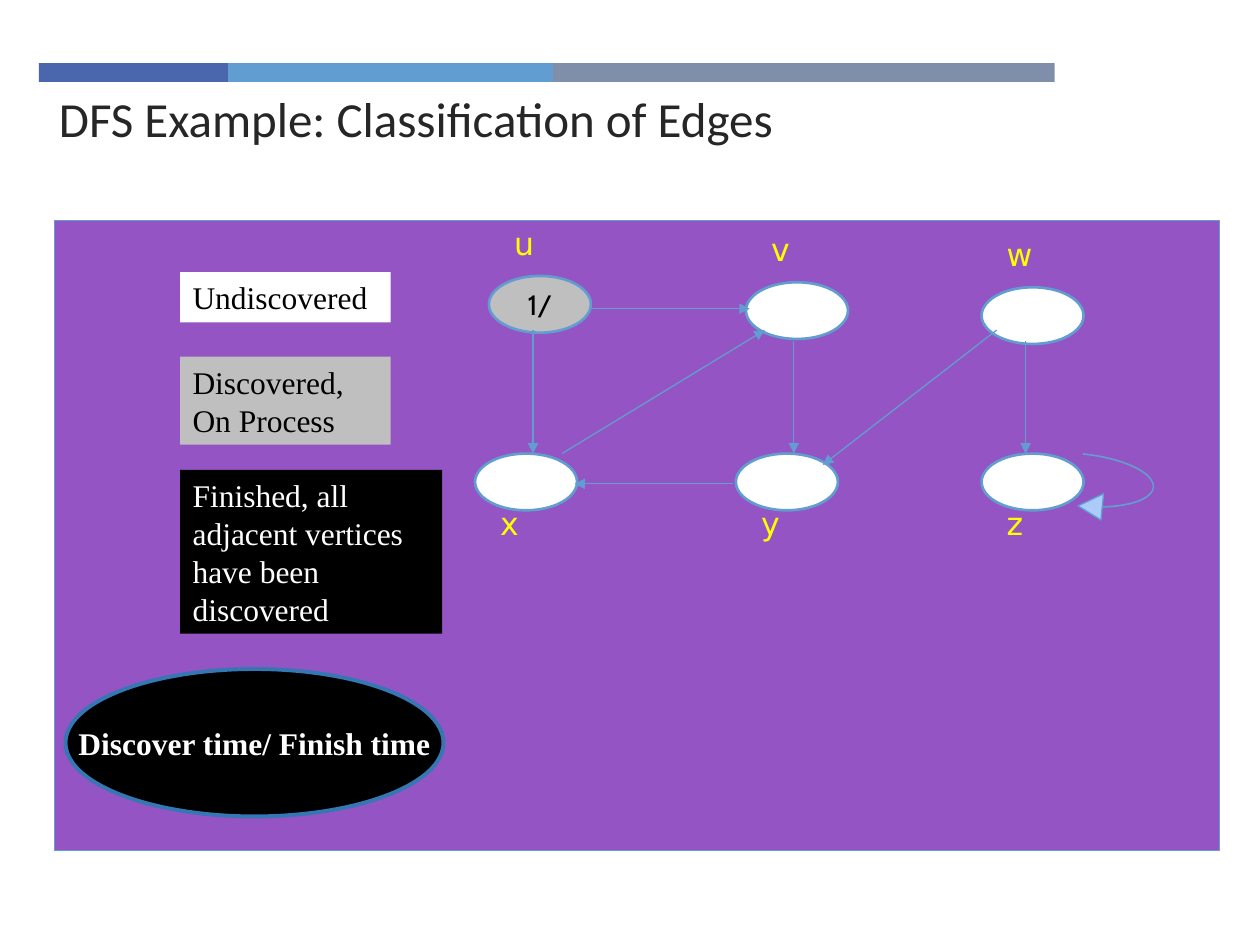
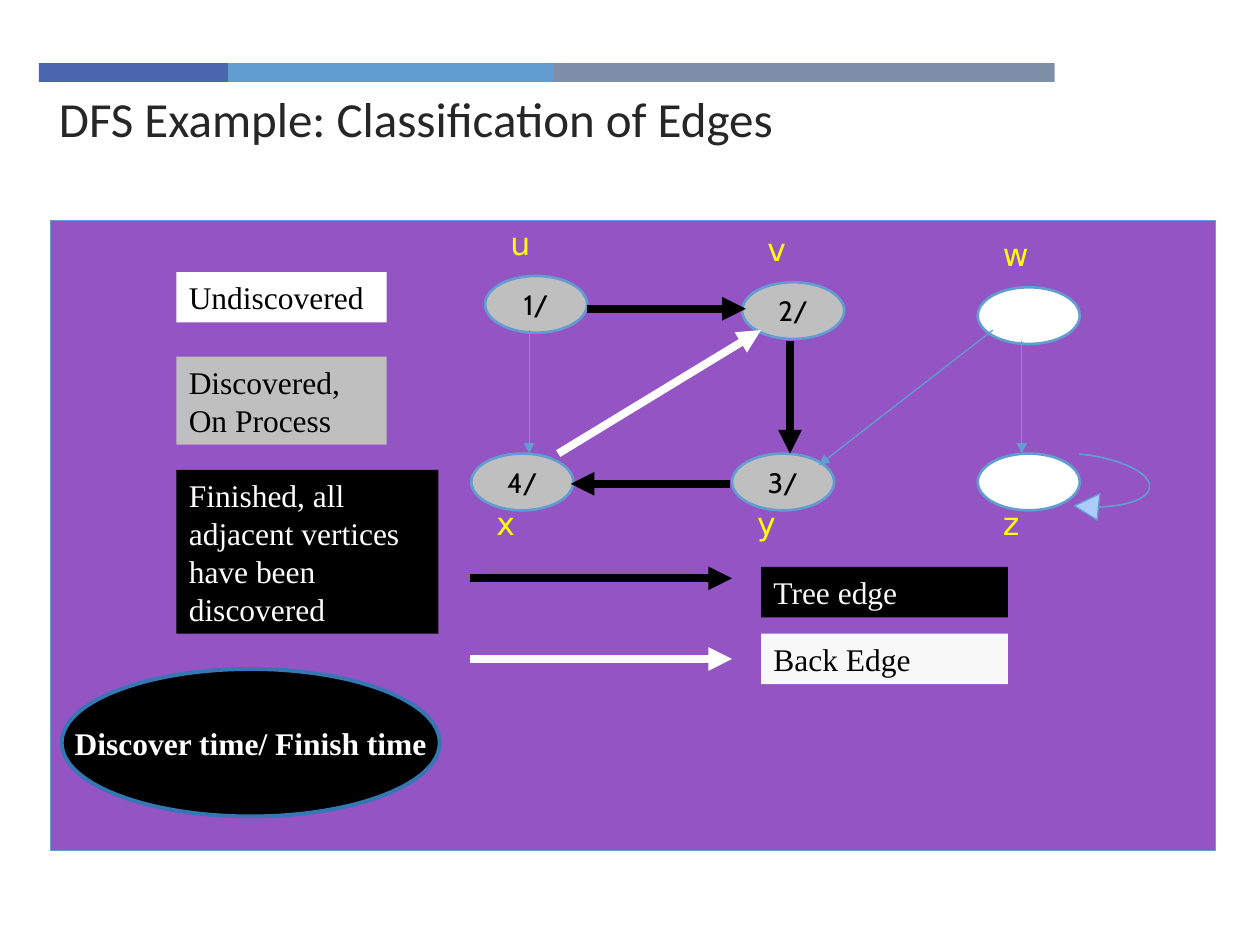
from pptx import Presentation
from pptx.dml.color import RGBColor
from pptx.enum.shapes import MSO_CONNECTOR, MSO_SHAPE
from pptx.enum.text import MSO_ANCHOR, PP_ALIGN
from pptx.oxml.ns import qn
from pptx.util import Inches, Pt
from lxml.etree import SubElement

WHITE = RGBColor(0xFF, 0xFF, 0xFF)
OFF_WHITE = RGBColor(0xF8, 0xF8, 0xF8)
BLACK = RGBColor(0x00, 0x00, 0x00)
GRAY = RGBColor(0xBF, 0xBF, 0xBF)
INK = RGBColor(0x26, 0x26, 0x26)
YELLOW = RGBColor(0xFF, 0xFF, 0x00)
PURPLE = RGBColor(0x94, 0x54, 0xC3)
BLUE = RGBColor(0x62, 0x9D, 0xD1)
DEEP_BLUE = RGBColor(0x4A, 0x66, 0xAC)
SLATE = RGBColor(0x7F, 0x8F, 0xA9)
RIM_BLUE = RGBColor(0x34, 0x77, 0xB2)
PALE_BLUE = RGBColor(0xAC, 0xCB, 0xF9)

BODY_FONT = "Times New Roman"
TITLE = "DFS Example: Classification of Edges"
BANDS = [(1.5, DEEP_BLUE), (2.58, BLUE), (3.98, SLATE)]

# Vertex: left and top of its ellipse, and the rise or drop to its label
NODE_SIZE = (0.81, 0.45)
ABOVE, BELOW = -0.46, 0.35
VERTICES = {
    "u": (3.88, 2.19, ABOVE),
    "v": (5.92, 2.24, ABOVE),
    "w": (7.79, 2.28, ABOVE),
    "x": (3.77, 3.6, BELOW),
    "y": (5.84, 3.6, BELOW),
    "z": (7.79, 3.6, BELOW),
}
EDGES = {
    "uv": (4.69, 2.45, 5.95, 2.45),
    "yx": (5.82, 3.84, 4.56, 3.84),
    "vy": (6.3, 2.71, 6.3, 3.6),
    "ux": (4.23, 2.62, 4.23, 3.6),
    "wz": (8.14, 2.71, 8.14, 3.6),
    "wy": (7.91, 2.62, 6.53, 3.69),
    "xv": (4.46, 3.6, 6.07, 2.62),
}
EDGE_STYLES = {"plain": (BLUE, 0.75), "tree": (BLACK, 4.5), "back": (WHITE, 4.5)}

# Text, top, width, height, fill, text colour
STATES = [
    ("Undiscovered", 2.16, 1.67, 0.4, WHITE, BLACK),
    ("Discovered, On Process", 2.83, 1.67, 0.7, GRAY, BLACK),
    ("Finished, all adjacent vertices have been discovered", 3.73, 2.08, 1.3, BLACK, WHITE),
]
# Edge kind, text, arrow height, box top, fill, text colour
EDGE_LEGEND = [
    ("tree", "Tree edge", 4.59, 4.5, BLACK, OFF_WHITE),
    ("back", "Back Edge", 5.23, 5.03, OFF_WHITE, BLACK),
]

STEPS = [
    {"shift": 0, "times": {"u": "1/"}, "kinds": {}, "legend": []},
    {
        "shift": -0.03,
        "times": {"u": "1/", "v": "2/", "y": "3/", "x": "4/"},
        "kinds": {"uv": "tree", "vy": "tree", "yx": "tree", "xv": "back"},
        "legend": EDGE_LEGEND,
    },
]


def add_box(slide, preset, left, top, width, height, fill, line=None, line_width=0.75):
    shape = slide.shapes.add_shape(
        preset, Inches(left), Inches(top), Inches(width), Inches(height))
    shape.shadow.inherit = False
    shape.fill.solid()
    shape.fill.fore_color.rgb = fill
    if line is None:
        shape.line.fill.background()
    else:
        shape.line.color.rgb = line
        shape.line.width = Pt(line_width)
    return shape


def write(shape, text, font, size, color, bold=False, centred=False):
    """Put one paragraph in a shape: top left and wrapped, or centred on one line."""
    frame = shape.text_frame
    frame.word_wrap = not centred
    frame.vertical_anchor = MSO_ANCHOR.MIDDLE if centred else MSO_ANCHOR.TOP
    paragraph = frame.paragraphs[0]
    paragraph.text = text
    paragraph.alignment = PP_ALIGN.CENTER if centred else PP_ALIGN.LEFT
    paragraph.font.name = font
    paragraph.font.size = Pt(size)
    paragraph.font.bold = bold
    paragraph.font.color.rgb = color


def add_text(slide, left, top, width, height, *style):
    box = slide.shapes.add_textbox(Inches(left), Inches(top), Inches(width), Inches(height))
    write(box, *style)
    return box


def add_arrow(slide, kind, x1, y1, x2, y2):
    color, width = EDGE_STYLES[kind]
    arrow = slide.shapes.add_connector(
        MSO_CONNECTOR.STRAIGHT, Inches(x1), Inches(y1), Inches(x2), Inches(y2))
    arrow.line.color.rgb = color
    arrow.line.width = Pt(width)
    SubElement(arrow.line._get_or_add_ln(), qn("a:tailEnd"), type="triangle")
    SubElement(arrow._element.spPr, qn("a:effectLst"))


def add_frame(slide, shift):
    left = 0.31
    for width, color in BANDS:
        add_box(slide, MSO_SHAPE.RECTANGLE, left, 0.5, width, 0.15, color)
        left += width
    add_text(slide, 0.37, 0.65, 8, 0.54, TITLE, "Calibri", 28, INK)
    add_box(slide, MSO_SHAPE.RECTANGLE, 0.43 + shift, 1.75, 9.25, 5, PURPLE, BLUE)


def add_graph(slide, shift, times, kinds):
    loop = add_box(slide, MSO_SHAPE.CURVED_DOWN_ARROW, 8.6 + shift, 3.6, 0.52, 0.58,
                   PALE_BLUE, BLUE)
    loop.rotation = 95.8
    for index, value in enumerate((0.006, 0.402, 0.369)):
        loop.adjustments[index] = value

    for name, (left, top, label_offset) in VERTICES.items():
        left += shift
        time = times.get(name)
        node = add_box(slide, MSO_SHAPE.OVAL, left, top, *NODE_SIZE,
                       GRAY if time else WHITE, BLUE, 1.5)
        if time:
            write(node, time, "Cabin", 16, BLACK, centred=True)
        label = add_text(slide, left + 0.02, top + label_offset, 0.81, 0.4,
                         name, "DejaVu Sans", 18, YELLOW)
        label.text_frame.margin_left = Inches(0.18)

    for name, (x1, y1, x2, y2) in EDGES.items():
        add_arrow(slide, kinds.get(name, "plain"), x1 + shift, y1, x2 + shift, y2)


def add_legends(slide, shift, edge_legend):
    for text, top, width, height, fill, color in STATES:
        box = add_box(slide, MSO_SHAPE.RECTANGLE, 1.43 + shift, top, width, height, fill)
        write(box, text, BODY_FONT, 18, color)
    for kind, text, arrow_y, top, fill, color in edge_legend:
        add_arrow(slide, kind, 3.73, arrow_y, 5.81, arrow_y)
        box = add_box(slide, MSO_SHAPE.RECTANGLE, 6.04, top, 1.96, 0.4, fill)
        write(box, text, BODY_FONT, 18, color)
    oval = add_box(slide, MSO_SHAPE.OVAL, 0.52 + shift, 5.31, 3, 1.17, BLACK, RIM_BLUE, 2.25)
    write(oval, "Discover time/ Finish time", BODY_FONT, 18, WHITE, bold=True, centred=True)


def main():
    presentation = Presentation()
    presentation.slide_width = Inches(10)
    presentation.slide_height = Inches(7.5)
    for step in STEPS:
        slide = presentation.slides.add_slide(presentation.slide_layouts[6])
        add_frame(slide, step["shift"])
        add_graph(slide, step["shift"], step["times"], step["kinds"])
        add_legends(slide, step["shift"], step["legend"])
    presentation.save("out.pptx")


if __name__ == "__main__":
    main()
